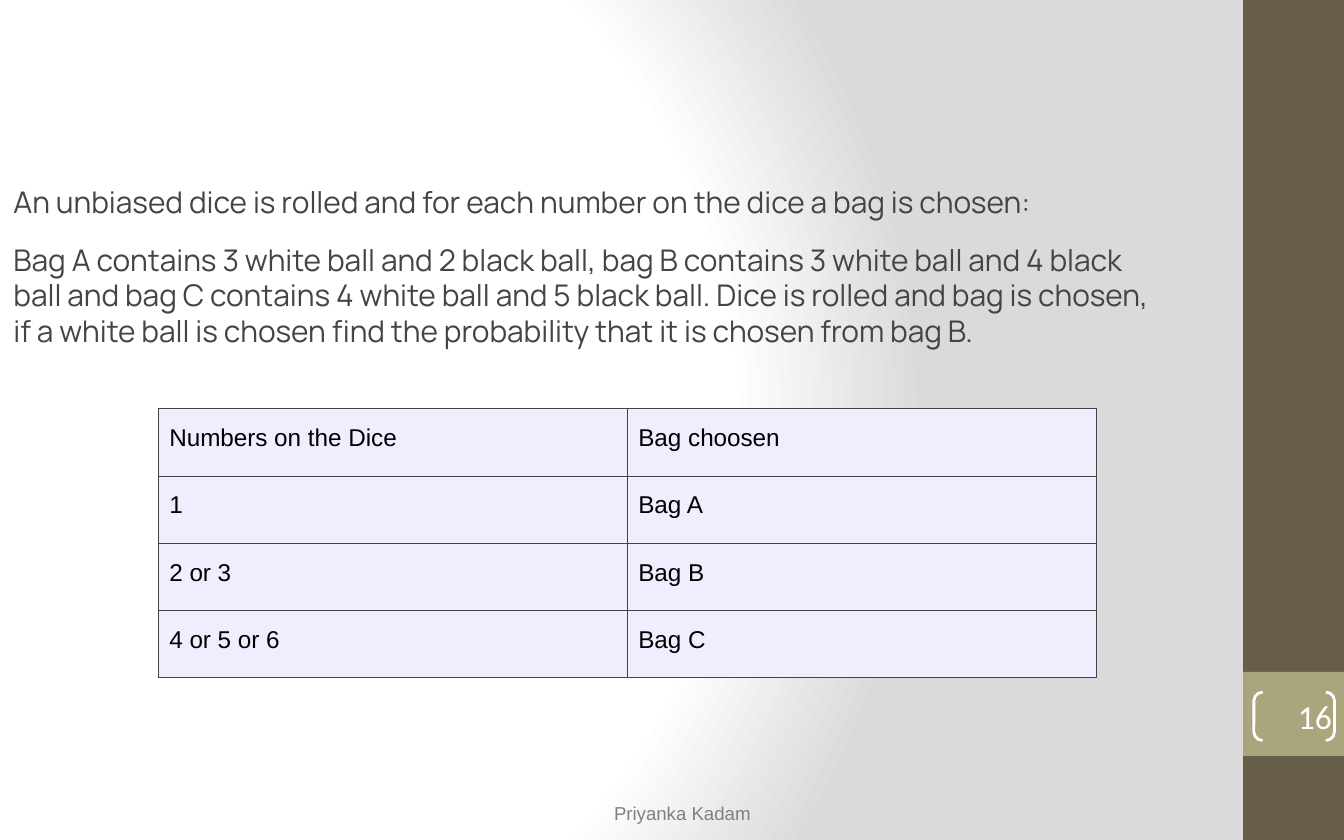
from lxml import etree
from pptx import Presentation
from pptx.dml.color import RGBColor
from pptx.enum.shapes import MSO_SHAPE as Shape
from pptx.enum.text import MSO_ANCHOR as Anchor, MSO_AUTO_SIZE as AutoSize, PP_ALIGN as Align
from pptx.oxml import parse_xml
from pptx.oxml.ns import nsdecls, qn
from pptx.util import Inches, Pt

COLUMNS, ROWS = 40, 25
WIDTH, HEIGHT = Inches(10), Inches(6.25)


def color(value):
    return RGBColor.from_string(value)


def grid(left, top, width, height):
    column, row = WIDTH / COLUMNS, HEIGHT / ROWS
    return [round(n) for n in (left * column, top * row, width * column, height * row)]


class SlideBuilder:
    dark, olive, white = "675E47", "A9A57C", "FFFFFF"
    ink, black, gray, lilac = "444444", "000000", "808080", "F1EDFF"
    body_font, label_font, number_font = "Manrope", "Arial", "Calibri"

    def __init__(self, deck):
        self.slide = deck.slides.add_slide(deck.slide_layouts[1])
        title = self.slide.shapes.title
        title.element.getparent().remove(title.element)

    def background(self, stops, focus):
        fill = self.slide.background.fill
        fill.gradient()
        old = self.slide.element.find(".//" + qn("a:gradFill"))
        marks = "".join(
            f'<a:gs pos="{share * 1000}"><a:srgbClr val="{value}"/></a:gs>'
            for share, value in stops
        )
        sides = " ".join(f'{side}="{share * 1000}"' for side, share in zip("ltrb", focus))
        new = parse_xml(
            f'<a:gradFill {nsdecls("a")} rotWithShape="1"><a:gsLst>{marks}</a:gsLst>'
            f'<a:path path="circle"><a:fillToRect {sides}/></a:path></a:gradFill>'
        )
        old.getparent().replace(old, new)

    def add_text(self, para, text, size, font, ink):
        span = para.add_run()
        span.text = text
        span.font.size = Pt(size)
        span.font.name = font
        span.font.color.rgb = color(ink)

    def margins(self, target, side, end):
        target.margin_left = target.margin_right = Inches(side)
        target.margin_top = target.margin_bottom = Inches(end)

    def band(self, area, fill):
        box = self.slide.shapes.add_shape(Shape.RECTANGLE, *grid(*area))
        box.shadow.inherit = False
        box.fill.solid()
        box.fill.fore_color.rgb = color(fill)
        box.line.fill.background()

    def page_number(self, area, text):
        box = self.slide.shapes.add_shape(Shape.DOUBLE_BRACKET, *grid(*area))
        box.shadow.inherit = False
        box.adjustments[0] = 0.18
        box.fill.background()
        box.line.color.rgb = color(self.white)
        box.line.width = Pt(1.5)
        frame = box.text_frame
        self.margins(frame, 0, 0)
        frame.vertical_anchor = Anchor.MIDDLE
        para = frame.paragraphs[0]
        para.alignment = Align.RIGHT
        self.add_text(para, text, 18, self.number_font, self.white)

    def footer(self, area, text):
        frame = self.slide.shapes.add_textbox(*grid(*area)).text_frame
        frame.word_wrap = False
        self.add_text(frame.paragraphs[0], text, 10, self.label_font, self.gray)

    def body(self, area, items):
        box = self.slide.placeholders[1]
        box.left, box.top, box.width, box.height = grid(*area)
        frame = box.text_frame
        frame.auto_size = AutoSize.NONE
        frame.word_wrap = True
        frame.vertical_anchor = Anchor.BOTTOM
        self.margins(frame, 0.1, 0.05)
        for index, (text, before) in enumerate(items):
            para = frame.add_paragraph() if index else frame.paragraphs[0]
            settings = para._p.get_or_add_pPr()
            settings.set("marL", "0")
            settings.set("indent", "0")
            etree.SubElement(settings, qn("a:buNone"))
            para.alignment = Align.LEFT
            para.line_spacing = Pt(19)
            para.space_before = Pt(before)
            para.space_after = Pt(0)
            self.add_text(para, text, 16, self.body_font, self.ink)

    def borders(self, cell, bottom):
        settings = cell._tc.get_or_add_tcPr()
        widths = {"L": 0.38, "R": 0.38, "T": 0.38, "B": bottom}
        for index, (side, width) in enumerate(widths.items()):
            settings.insert(index, parse_xml(
                f'<a:ln{side} {nsdecls("a")} w="{Pt(width)}"><a:solidFill>'
                f'<a:srgbClr val="{self.ink}"/></a:solidFill></a:ln{side}>'
            ))

    def table(self, area, records):
        shape = self.slide.shapes.add_table(len(records), len(records[0]), *grid(*area))
        table = shape.table
        table.first_row = table.horz_banding = False
        for row, record in enumerate(records):
            bottom = 0.75 if row == len(records) - 1 else 0.38
            for column, text in enumerate(record):
                cell = table.cell(row, column)
                self.margins(cell, 0.08, 0.12)
                cell.fill.solid()
                cell.fill.fore_color.rgb = color(self.lilac)
                self.borders(cell, bottom)
                para = cell.text_frame.paragraphs[0]
                self.add_text(para, text, 13, self.label_font, self.black)


def main():
    deck = Presentation()
    deck.slide_width, deck.slide_height = WIDTH, HEIGHT
    page = SlideBuilder(deck)
    page.background([(0, "FFFFFF"), (75, "FFFFFF"), (100, "DADADA")], (20, 50, 100, 50))
    page.band((37, 0, 3, ROWS), page.dark)
    page.band((37, 20, 3, 2.5), page.olive)
    page.footer((17.88, 23.68, 4.88, 1.08), "Priyanka Kadam")
    page.table((4.72, 12.16, 27.92, 8), [
        ("Numbers on the Dice", "Bag choosen"),
        ("1", "Bag A"),
        ("2 or 3", "Bag B"),
        ("4 or 5 or 6", "Bag C"),
    ])
    page.page_number((37.32, 20.6, 2.4, 1.44), "16")
    page.body((0, 5.2, 35.32, 5.36), [
        ("An unbiased dice is rolled and for each number on the dice a bag is chosen:", 0),
        ("Bag A contains 3 white ball and 2 black ball, bag B contains 3 white ball and 4 black "
         "ball and bag C contains 4 white ball and 5 black ball. Dice is rolled and bag is chosen,", 12),
        ("if a white ball is chosen find the probability that it is chosen from bag B.", 0),
    ])
    deck.save("out.pptx")


if __name__ == "__main__":
    main()
